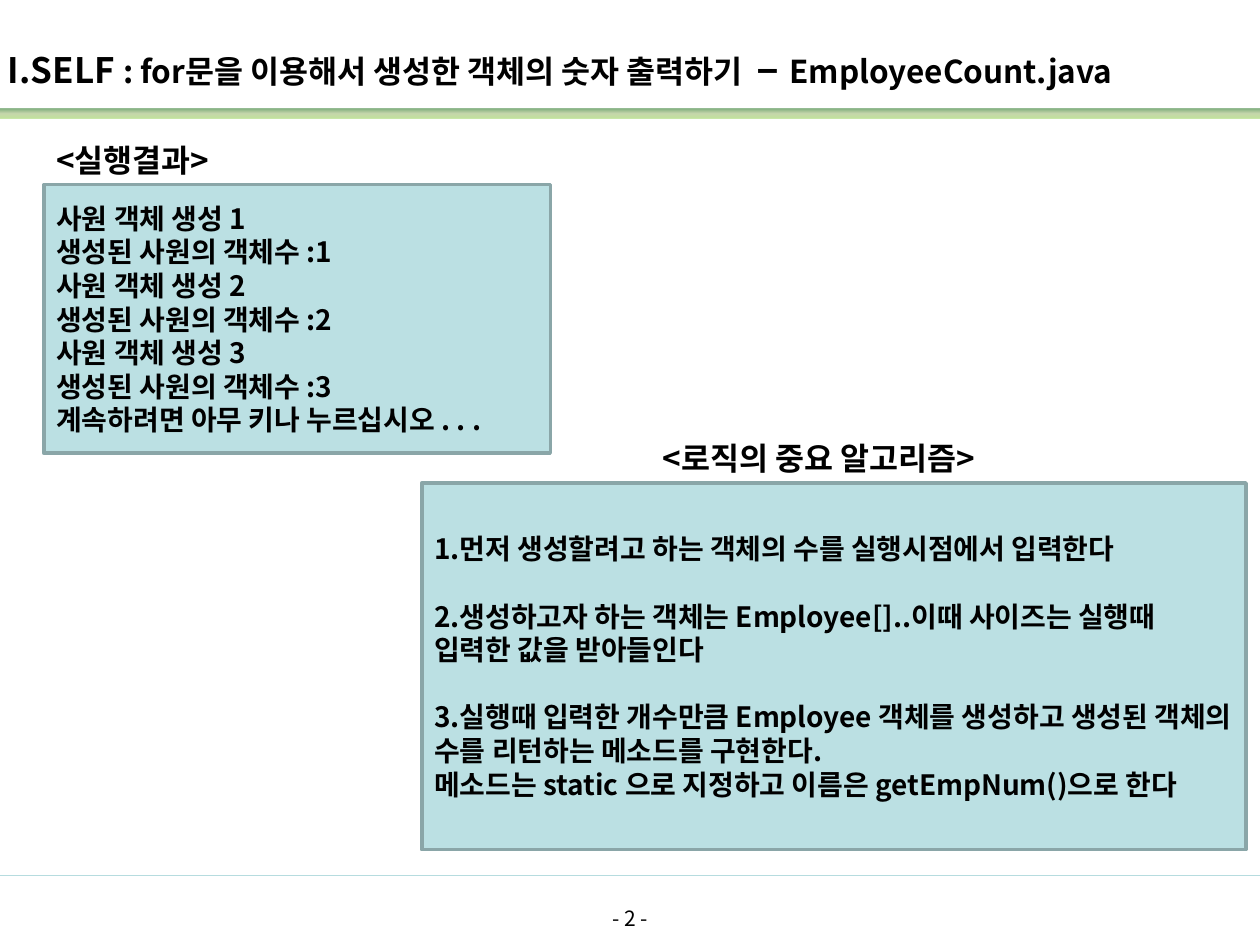
from dataclasses import dataclass

from lxml.etree import SubElement
from pptx import Presentation
from pptx.dml.color import RGBColor
from pptx.enum.shapes import MSO_CONNECTOR, MSO_SHAPE
from pptx.enum.text import MSO_ANCHOR, MSO_AUTO_SIZE, PP_ALIGN
from pptx.oxml import parse_xml
from pptx.oxml.ns import nsdecls, qn
from pptx.util import Pt


@dataclass(frozen=True)
class Theme:
    """Colours, font and type sizes of the slide."""
    font: str = "Noto Sans CJK KR"
    ink: str = "000000"
    panel: str = "BBE0E3"
    edge: str = "8AA6A8"
    rule: str = "B6DCDF"
    greens: tuple = ("92D050", "9CB86E", "156B13")
    head: int = 18
    lead: int = 20
    dash: int = 24
    body: int = 16
    note: int = 12
    pitch: float = 1.2


def color(code):
    """Turn a hex code into a colour."""
    return RGBColor.from_string(code)


class Deck:
    """Holds the theme and the current slide."""

    def __init__(self, theme, wide, high):
        """Open a deck with one slide that has a title and two bodies."""
        self.theme = theme
        self.file = Presentation()
        self.file.slide_width, self.file.slide_height = Pt(wide), Pt(high)
        self.slide = self.file.slides.add_slide(self.file.slide_layouts[3])

    def place(self, shape, left, top, wide, high):
        """Move and size a shape."""
        shape.left, shape.top = Pt(left), Pt(top)
        shape.width, shape.height = Pt(wide), Pt(high)

    def style(self, para, size, bold=True, align=PP_ALIGN.LEFT):
        """Set the font, spacing and alignment of a paragraph."""
        font = para.font
        font.name, font.size, font.bold = self.theme.font, Pt(size), bold
        font.color.rgb = color(self.theme.ink)
        para.alignment = align
        para.space_before = Pt(0)
        para.line_spacing = Pt(size * self.theme.pitch)
        for run in para.runs:
            props = run.font._element if hasattr(run.font, "_element") else run._r.get_or_add_rPr()
            SubElement(props, qn("a:ea"), typeface=self.theme.font)

    def title(self, parts, box):
        """Fill the title with runs of differing size."""
        shape = self.slide.shapes.title
        self.place(shape, *box)
        frame = shape.text_frame
        frame.auto_size = MSO_AUTO_SIZE.NONE
        frame.vertical_anchor = MSO_ANCHOR.MIDDLE
        frame.margin_left = frame.margin_right = 0
        para = frame.paragraphs[0]
        for text, size in parts:
            run = para.add_run()
            run.text, run.font.size = text, Pt(size)
        self.style(para, self.theme.head)
        para.line_spacing = Pt(33)

    def panel(self, index, groups, box):
        """Fill a body with groups of lines, one line apart."""
        shape = self.slide.placeholders[index]
        self.place(shape, *box)
        shape.fill.solid()
        shape.fill.fore_color.rgb = color(self.theme.panel)
        shape.line.color.rgb = color(self.theme.edge)
        shape.line.width = Pt(2)
        frame = shape.text_frame
        frame.auto_size = MSO_AUTO_SIZE.NONE
        frame.vertical_anchor = MSO_ANCHOR.MIDDLE
        frame.text = "\n".join(line for group in groups for line in group)
        paras = iter(frame.paragraphs)
        for rank, group in enumerate(groups):
            for row, _ in enumerate(group):
                para = next(paras)
                self.style(para, self.theme.body)
                if rank and not row:
                    para.space_before = para.line_spacing
                props = para._p.get_or_add_pPr()
                props.set("marL", "0")
                props.set("indent", "0")
                props.find(qn("a:defRPr")).addprevious(
                    parse_xml(f"<a:buNone {nsdecls('a')}/>"))

    def label(self, text, box, size, **look):
        """Add one line of text."""
        shape = self.slide.shapes.add_textbox(*map(Pt, box))
        frame = shape.text_frame
        frame.word_wrap = True
        frame.text = text
        self.style(frame.paragraphs[0], size, **look)

    def band(self, box):
        """Add the green band with its vertical blend."""
        shape = self.slide.shapes.add_shape(MSO_SHAPE.RECTANGLE, *map(Pt, box))
        shape.shadow.inherit = False
        shape.line.fill.background()
        stops = "".join(
            f'<a:gs pos="{rank * 50000}"><a:srgbClr val="{code}">'
            '<a:alpha val="56000"/></a:srgbClr></a:gs>'
            for rank, code in enumerate(self.theme.greens))
        blend = parse_xml(
            f'<a:gradFill {nsdecls("a")} rotWithShape="1"><a:gsLst>{stops}</a:gsLst>'
            '<a:lin ang="16200000" scaled="0"/></a:gradFill>')
        shape._element.spPr.find(qn("a:prstGeom")).addnext(blend)

    def rule(self, left, right, top):
        """Add a thin level line."""
        line = self.slide.shapes.add_connector(
            MSO_CONNECTOR.STRAIGHT, Pt(left), Pt(top), Pt(right), Pt(top))
        line.line.color.rgb = color(self.theme.rule)
        line.line.width = Pt(0.75)
        SubElement(line._element.spPr, qn("a:effectLst"))


def main():
    """Build the slide and save it."""
    theme = Theme()
    wide, high = 720, 540
    deck = Deck(theme, wide, high)
    deck.band((0, 62, wide, 6))
    deck.rule(0, wide, 500.5)
    deck.label("- 2 -", (276, 514, 168, 37.5), theme.note,
               bold=False, align=PP_ALIGN.CENTER)
    deck.title([
        (" I.SELF ", theme.lead),
        (": for문을 이용해서 생성한 객체의 숫자 출력하기  ", theme.head),
        ("– ", theme.dash),
        ("EmployeeCount.java", theme.head),
    ], (0, 20, 706, 32.5))

    deck.label("<실행결과>", (25, 77, 119, 29), theme.head)
    counts = [line for num in range(1, 4)
              for line in (f"사원 객체 생성 {num}", f"생성된 사원의 객체수 :{num}")]
    deck.panel(1, [counts + ["계속하려면 아무 키나 누르십시오 . . ."]],
               (25, 105.5, 289.5, 153.5))

    deck.label("<로직의 중요 알고리즘>", (371.5, 247.5, 249, 29), theme.head)
    deck.panel(2, [
        ["1.먼저 생성할려고 하는 객체의 수를 실행시점에서 입력한다"],
        ["2.생성하고자 하는 객체는 Employee[]..이때 사이즈는 실행때",
         "입력한 값을 받아들인다"],
        ["3.실행때 입력한 개수만큼 Employee 객체를 생성하고 생성된 "
         "객체의 수를 리턴하는 메소드를 구현한다.",
         "메소드는 static 으로 지정하고 이름은 getEmpNum()으로 한다 "],
    ], (241, 276, 471, 209.5))
    deck.file.save("out.pptx")


main()
